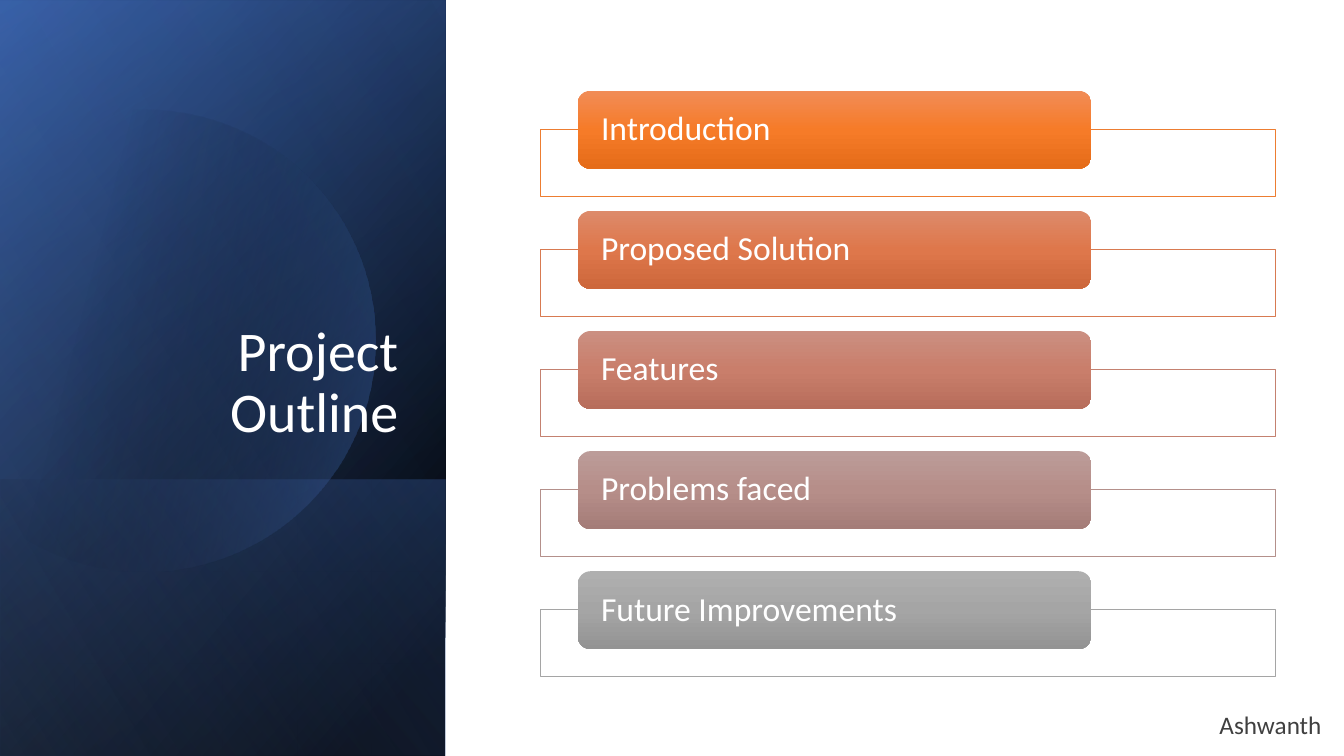
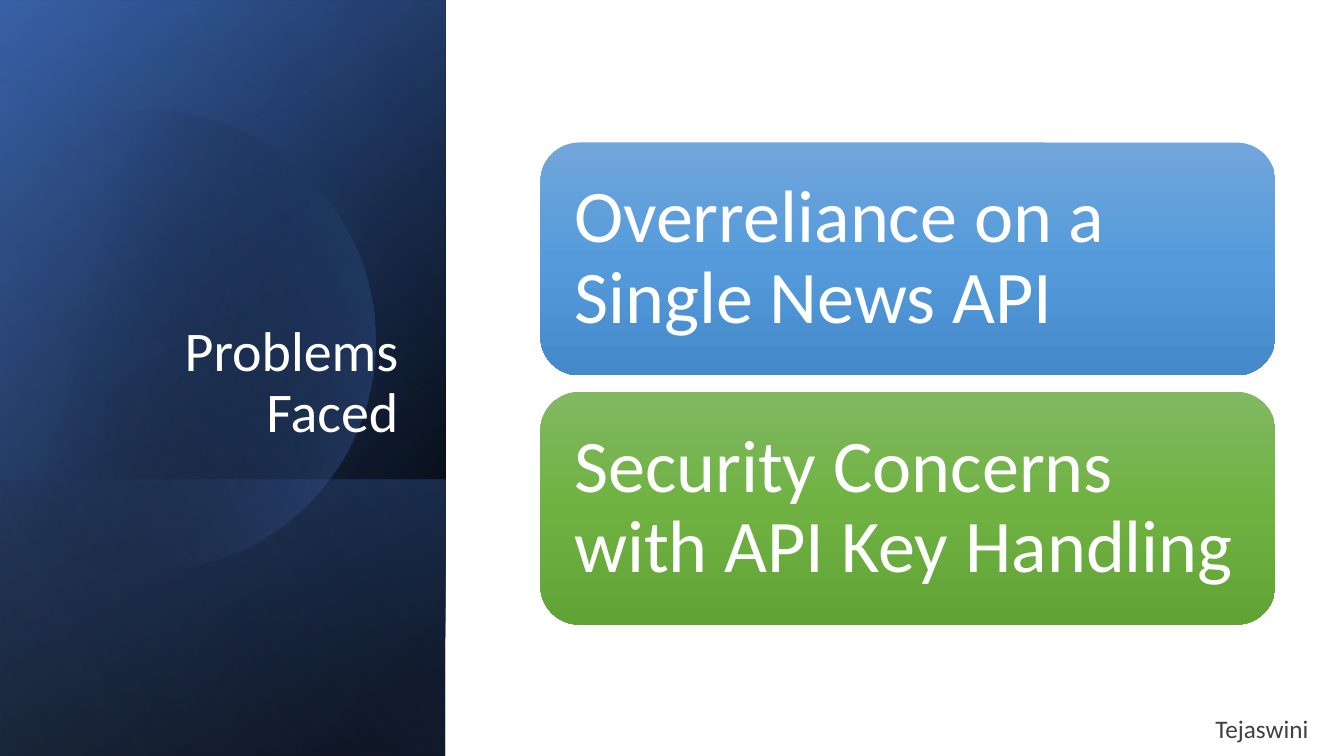
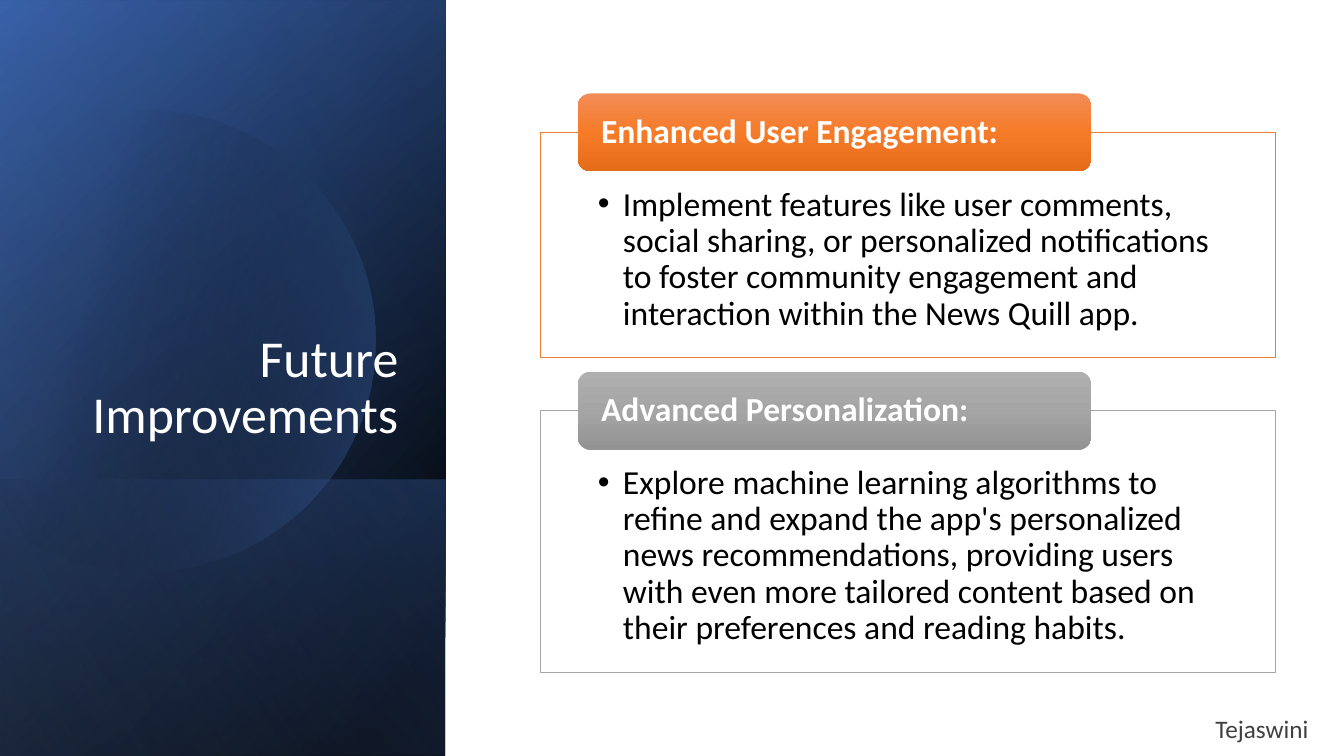
import math

import pptx
import pptx.dml.color
import pptx.enum.shapes
import pptx.enum.text
import pptx.oxml
import pptx.oxml.ns
import pptx.util

Pt = pptx.util.Pt
RECT = pptx.enum.shapes.MSO_SHAPE.RECTANGLE
ROUNDED = pptx.enum.shapes.MSO_SHAPE.ROUNDED_RECTANGLE
ANCHOR = pptx.enum.text.MSO_ANCHOR
ALIGN = pptx.enum.text.PP_ALIGN

COLOURS = {
    "white": "FFFFFF", "black": "000000", "name": "404040",
    "navy": "2F5597", "blue": "4472C4", "pale": "8FAADC",
    "orange edge": "ED7D31", "rust edge": "D87A51", "rose edge": "C48170",
    "mauve edge": "B4908B", "grey edge": "A5A5A5",
    "orange top": "F18C57", "orange mid": "F67B28", "orange low": "E56C19",
    "rust top": "DD8A6A", "rust mid": "DE774B", "rust low": "CD673B",
    "rose top": "CB8F81", "rose mid": "C97E6B", "rose low": "B76D5B",
    "mauve top": "BC9C99", "mauve mid": "B68E89", "mauve low": "A47C78",
    "grey top": "AFAFAF", "grey mid": "A5A5A5", "grey low": "939393",
    "sky top": "71A6DB", "sky mid": "559BDB", "sky low": "448ACA",
    "green top": "81B861", "green mid": "6FB242", "green low": "62A336",
}

# Panel layers: left, top, width, height, angle, stops (position, colour, opacity)
PANEL_LAYERS = [
    (-110.9, 110.9, 540, 318.2, 50, [(8, "black", 100), (100, "navy", 100)]),
    (-110.9, 111.6, 540, 318.2, 30, [(0, "black", 0), (99, "blue", 46)]),
    (60.5, 282.2, 197.3, 318.2, 130, [(2, "blue", 29), (100, "black", 30)]),
    "disc",
    (-110.9, 110.9, 540, 318.2, 120, [(0, "black", 0), (99, "pale", 11)]),
]
DISC_X, DISC_Y, DISC_RADIUS, DISC_CUT = 103, 243.4, 165, -11

CARD_LEFT, CARD_WIDTH = 386, 525
TAB_LEFT, TAB_WIDTH, TAB_HEIGHT = 412.6, 367, 55.7
TAB_RISE, CARD_GAP = 27.6, 10.4
TILE_HEIGHT, TILE_STEP = 166.3, 178

TITLE = {
    "frame": {"vertical_anchor": ANCHOR.BOTTOM},
    "paragraph": {"alignment": ALIGN.RIGHT, "line_spacing": 0.9},
    "font": {"size": Pt(40)}, "colour": "white",
}
TAB = {
    "frame": {"vertical_anchor": ANCHOR.MIDDLE, "margin_left": Pt(14),
              "margin_right": Pt(14), "margin_top": 0, "margin_bottom": 0},
    "paragraph": {"alignment": ALIGN.LEFT, "line_spacing": 0.9},
    "font": {"size": Pt(24)}, "colour": "white",
}
TILE = {
    "frame": {"vertical_anchor": ANCHOR.MIDDLE, "margin_left": Pt(16),
              "margin_right": Pt(16), "margin_top": Pt(16), "margin_bottom": Pt(16)},
    "paragraph": TAB["paragraph"],
    "font": {"size": Pt(53)}, "colour": "white",
}
DETAIL = {
    "frame": {"vertical_anchor": ANCHOR.TOP, "margin_left": Pt(41),
              "margin_right": Pt(41), "margin_top": Pt(39.4), "margin_bottom": Pt(13.7)},
    "paragraph": TAB["paragraph"],
    "font": {"size": Pt(24)}, "colour": "black", "bullet": True,
}
NAME = {"frame": {}, "paragraph": {}, "font": {"size": Pt(18)}, "colour": "name"}

# Tabs: heading, colour, card height, detail. Tiles: text, colour.
SLIDES = [
    {"title": "Project Outline", "name": "Ashwanth", "name at": (864, 503.3),
     "first top": 64.8,
     "tabs": [("Introduction", "orange", 47.8, ""),
              ("Proposed Solution", "rust", 47.8, ""),
              ("Features", "rose", 47.8, ""),
              ("Problems faced", "mauve", 47.8, ""),
              ("Future Improvements", "grey", 47.8, "")]},
    {"title": "Problems Faced", "name": "Tejaswini", "name at": (861, 506.2),
     "first top": 101.8,
     "tiles": [("Overreliance on a Single News API", "sky"),
               ("Security Concerns with API Key Handling", "green")]},
    {"title": "Future Improvements", "name": "Tejaswini", "name at": (861, 506.2),
     "title font": {"size": Pt(37)}, "tab font": {"bold": True}, "first top": 66.7,
     "tabs": [("Enhanced User Engagement:", "orange", 160.7,
               "Implement features like user comments, social sharing, or personalized "
               "notifications to foster community engagement and interaction within "
               "the News Quill app."),
              ("Advanced Personalization:", "grey", 187.4,
               "Explore machine learning algorithms to refine and expand the app's "
               "personalized news recommendations, providing users with even more "
               "tailored content based on their preferences and reading habits.")]},
]


def paint_gradient(shape, stops, angle):
    """Fill with (position, colour, opacity) stops, clockwise angle, no outline."""
    stop_xml = "".join(
        f'<a:gs pos="{position * 1000}"><a:srgbClr val="{COLOURS[colour]}">'
        f'<a:alpha val="{opacity * 1000}"/></a:srgbClr></a:gs>'
        for position, colour, opacity in stops)
    shape.element.spPr.insert(2, pptx.oxml.parse_xml(
        f'<a:gradFill {pptx.oxml.ns.nsdecls("a")} rotWithShape="1">'
        f'<a:gsLst>{stop_xml}</a:gsLst>'
        f'<a:lin ang="{angle * 60000}" scaled="0"/></a:gradFill>'))
    shape.line.fill.background()
    shape.shadow.inherit = False


def write(shape, text, style, extra_font=None):
    frame = shape.text_frame
    frame.word_wrap = True
    paragraph = frame.paragraphs[0]
    run = paragraph.add_run()
    run.text = text
    if style.get("bullet"):
        properties = paragraph._p.get_or_add_pPr()
        properties.set("marL", str(Pt(18)))
        properties.set("indent", str(-Pt(18)))
        properties.append(pptx.oxml.parse_xml(
            f'<a:buFont {pptx.oxml.ns.nsdecls("a")} typeface="Arial"/>'))
        properties.append(pptx.oxml.parse_xml(
            f'<a:buChar {pptx.oxml.ns.nsdecls("a")} char="•"/>'))
    font = {"name": "Calibri", **style["font"], **(extra_font or {})}
    for target, values in ((frame, style["frame"]),
                           (paragraph, style["paragraph"]), (run.font, font)):
        for attribute, value in values.items():
            setattr(target, attribute, value)
    run.font.color.rgb = pptx.dml.color.RGBColor.from_string(COLOURS[style["colour"]])


deck = pptx.Presentation()
deck.slide_width, deck.slide_height = Pt(960), Pt(540)

for content in SLIDES:
    shapes = deck.slides.add_slide(deck.slide_layouts[6]).shapes

    for layer in PANEL_LAYERS:
        if layer == "disc":
            rim = []
            for degree in range(0, 360, 3):
                x = DISC_X + DISC_RADIUS * math.cos(math.radians(degree))
                y = DISC_Y + DISC_RADIUS * math.sin(math.radians(degree))
                rim.append((Pt(max(x, DISC_CUT)), Pt(y)))
            outline = shapes.build_freeform(*rim[0])
            outline.add_line_segments(rim[1:], close=True)
            paint_gradient(outline.convert_to_shape(),
                           [(29, "black", 0), (100, "blue", 43)], 14)
            continue
        *place, angle, stops = layer
        panel = shapes.add_shape(RECT, *map(Pt, place))
        panel.rotation = 90
        panel.element.spPr.get_or_add_xfrm().set("flipH", "1")
        paint_gradient(panel, stops, angle)

    title = shapes.add_textbox(Pt(46), Pt(132.5), Pt(245.5), Pt(188.6))
    write(title, content["title"], TITLE, content.get("title font"))

    top = content["first top"]
    for heading, hue, card_height, detail in content.get("tabs", []):
        card = shapes.add_shape(RECT, Pt(CARD_LEFT), Pt(top + TAB_RISE),
                                Pt(CARD_WIDTH), Pt(card_height))
        card.shadow.inherit = False
        card.fill.solid()
        card.fill.fore_color.rgb = pptx.dml.color.RGBColor.from_string(COLOURS["white"])
        card.line.color.rgb = pptx.dml.color.RGBColor.from_string(COLOURS[f"{hue} edge"])
        card.line.width = Pt(0.5)
        if detail:
            write(card, detail, DETAIL)
        tab = shapes.add_shape(ROUNDED, Pt(TAB_LEFT), Pt(top), Pt(TAB_WIDTH), Pt(TAB_HEIGHT))
        paint_gradient(tab, [(0, f"{hue} top", 100), (50, f"{hue} mid", 100),
                             (100, f"{hue} low", 100)], 90)
        write(tab, heading, TAB, content.get("tab font"))
        top += TAB_RISE + card_height + CARD_GAP

    for problem, hue in content.get("tiles", []):
        tile = shapes.add_shape(ROUNDED, Pt(CARD_LEFT), Pt(top),
                                Pt(CARD_WIDTH), Pt(TILE_HEIGHT))
        paint_gradient(tile, [(0, f"{hue} top", 100), (50, f"{hue} mid", 100),
                              (100, f"{hue} low", 100)], 90)
        write(tile, problem, TILE)
        top += TILE_STEP

    name_left, name_top = content["name at"]
    presenter = shapes.add_textbox(Pt(name_left), Pt(name_top), Pt(94), Pt(29))
    write(presenter, content["name"], NAME)

deck.save("out.pptx")
